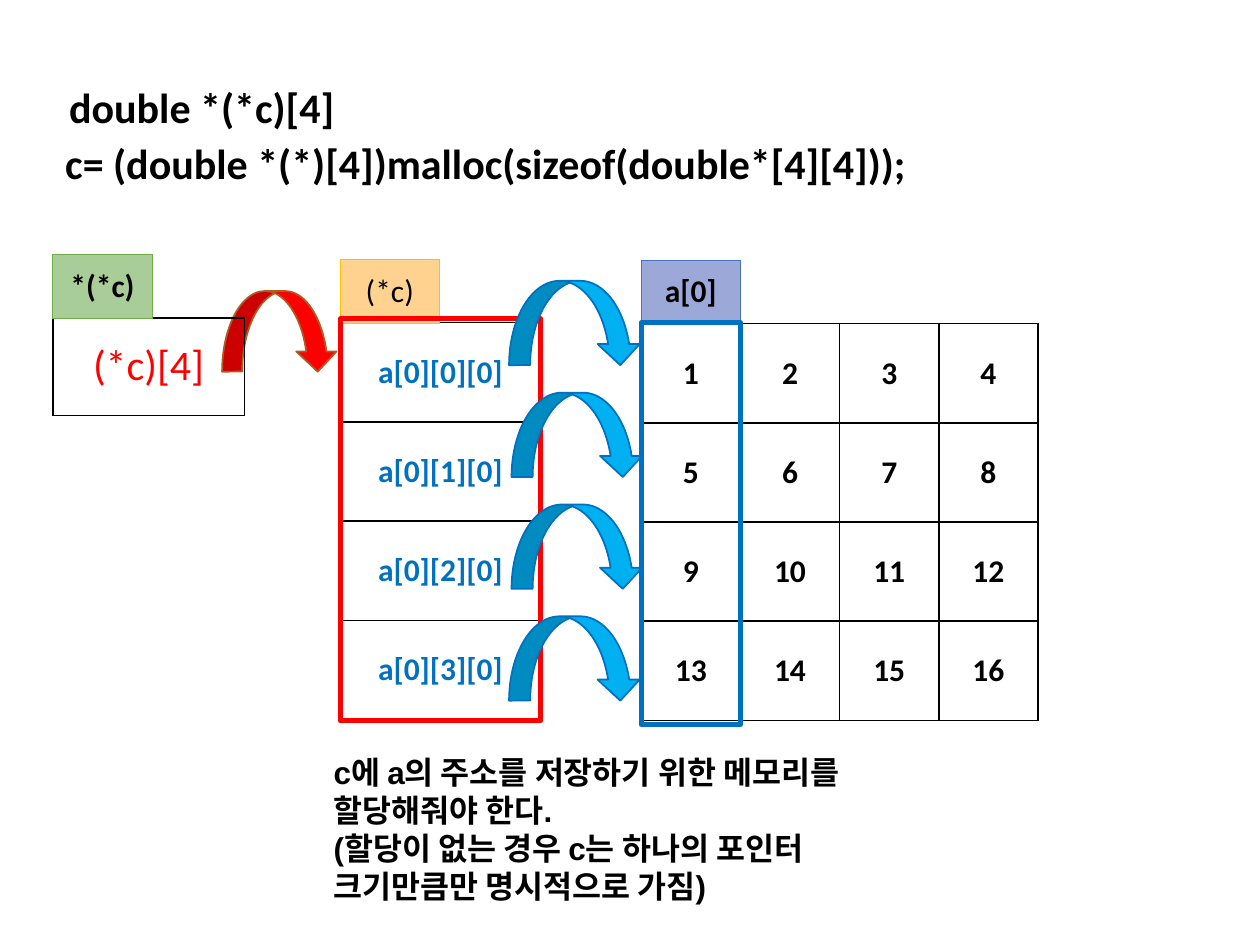
from lxml.etree import SubElement
from pptx import Presentation
from pptx.dml.color import RGBColor
from pptx.enum.shapes import MSO_SHAPE as Shape
from pptx.enum.text import MSO_ANCHOR as Anchor, PP_ALIGN as Align
from pptx.oxml.ns import qn
from pptx.util import Pt

BLACK = RGBColor(0x00, 0x00, 0x00)
RED = RGBColor(0xFF, 0x00, 0x00)
BROWN = RGBColor(0xAF, 0x5C, 0x24)
BLUE = RGBColor(0x00, 0x70, 0xC0)
SKY = RGBColor(0x00, 0xB0, 0xF0)
GOLD = RGBColor(0xFF, 0xC0, 0x00)
GREEN = RGBColor(0x70, 0xAD, 0x47)
INDIGO = RGBColor(0x44, 0x72, 0xC4)
PALE_GOLD = RGBColor(0xFF, 0xD3, 0x8F)
PALE_GREEN = RGBColor(0xA9, 0xCD, 0x98)
PALE_INDIGO = RGBColor(0x9B, 0xA8, 0xD8)

N = 4  # the array is N by N
CELL = 56.7  # side of a square array cell
LABEL_H = 36.5
POINTER_X, ARRAY_X, VALUES_X = 30.2, 194.4, 366.4  # left edges of the columns
POINTER_W, ARRAY_W = 109.5, 114.6
FRAME_H = 229.7
ROW_PITCH = 63.9  # from one row arrow to the next

prs = Presentation()
prs.slide_width, prs.slide_height = Pt(720), Pt(540)
shapes = prs.slides.add_slide(prs.slide_layouts[6]).shapes


def add_run(paragraph, words, size, color=BLACK, bold=True, font="Calibri"):
    run = paragraph.add_run()
    run.text = words
    run.font.name, run.font.size, run.font.bold = font, Pt(size), bold
    run.font.color.rgb = color


def add_outlined(kind, left, top, width, height, line, weight, fill=None):
    part = shapes.add_shape(kind, Pt(left), Pt(top), Pt(width), Pt(height))
    part.shadow.inherit = False
    part.line.color.rgb, part.line.width = line, Pt(weight)
    if fill is None:
        part.fill.background()
    else:
        part.fill.solid()
        part.fill.fore_color.rgb = fill


# Declarations above and explanation below: left, top, width, height, size, font
texts = [
    (32.4, 43.2, 320.4, 36, 24, "Calibri", ["double *(*c)[4]"]),
    (30.2, 75.2, 566, 36, 24, "Calibri",
     ["c= (double *(*)[4])malloc(sizeof(double*[4][4]));"]),
    (183.6, 427, 338.4, 94.3, 18, "Arial",
     ["c에 a의 주소를 저장하기 위한 메모리를 할당해줘야 한다.",
      "(할당이 없는 경우 c는 하나의 포인터 크기만큼만 명시적으로 가짐)"]),
]
for left, top, width, height, size, font, lines in texts:
    frame = shapes.add_textbox(Pt(left), Pt(top), Pt(width), Pt(height)).text_frame
    frame.word_wrap = True
    for i, words in enumerate(lines):
        paragraph = frame.add_paragraph() if i else frame.paragraphs[0]
        add_run(paragraph, words, size, font=font)

# Arrow from the pointer to the array, drawn first to lie behind the pointer's cell
add_outlined(Shape.CURVED_DOWN_ARROW, 126.9, 166.3, 66.2, 46.1, BROWN, 1, RED)

# Contents of the three columns
pointer = [["(*c)[4]"]]
addresses = [[f"a[0][{row}][0]"] for row in range(N)]
values = [[str(N * row + col + 1) for col in range(N)] for row in range(N)]

# Grids: rows, left, top, cell width, cell height, text size, text colour, bold
grids = [
    (pointer, POINTER_X, 181.8, POINTER_W, 55.5, 24, RED, False),
    (addresses, ARRAY_X, 184.4, ARRAY_W, CELL, 18, BLUE, True),
    (values, VALUES_X, 184.9, CELL, CELL, 18, BLACK, True),
]
grids = [grid + (BLACK, 1, None) for grid in grids]

# One label above each grid: words, left, top, bold, border, fill
labels = [
    ("*(*c)", POINTER_X, 145.4, True, GREEN, PALE_GREEN),
    ("(*c)", ARRAY_X, 148.3, False, GOLD, PALE_GOLD),
    ("a[0]", VALUES_X, 148.6, True, INDIGO, PALE_INDIGO),
]
grids += [([[words]], left, top, CELL, LABEL_H, 18, BLACK, bold, border, 0.5, fill)
          for words, left, top, bold, border, fill in labels]

# Tables of centred text, with the same border on every side of every cell
for (rows, left, top, cell_w, cell_h, size, color, bold,
     border, weight, fill) in grids:
    n_rows, n_cols = len(rows), len(rows[0])
    table = shapes.add_table(n_rows, n_cols, Pt(left), Pt(top),
                             Pt(cell_w * n_cols), Pt(cell_h * n_rows)).table
    table.first_row = table.horz_banding = False
    for column in table.columns:
        column.width = Pt(cell_w)
    for row, row_words in zip(table.rows, rows):
        row.height = Pt(cell_h)
        for cell, words in zip(row.cells, row_words):
            cell.vertical_anchor = Anchor.MIDDLE
            paragraph = cell.text_frame.paragraphs[0]
            paragraph.alignment = Align.CENTER
            add_run(paragraph, words, size, color, bold)
            # Borders must come before the fill in the cell properties
            props = cell._tc.get_or_add_tcPr()
            for side in ("a:lnL", "a:lnR", "a:lnT", "a:lnB"):
                line = SubElement(props, qn(side), w=str(Pt(weight)))
                solid = SubElement(line, qn("a:solidFill"))
                SubElement(solid, qn("a:srgbClr"), val=str(border))
            if fill is None:
                cell.fill.background()
            else:
                cell.fill.solid()
                cell.fill.fore_color.rgb = fill

# Frame around the addresses, behind the row arrows
add_outlined(Shape.RECTANGLE, ARRAY_X, 182.2, ARRAY_W, FRAME_H, RED, 3)

# Arrows from each address to its row of values; the middle two sit further right
for row, left in enumerate((290.9, 292.3, 292.3, 290.9)):
    add_outlined(Shape.CURVED_DOWN_ARROW, left, 160.5 + ROW_PITCH * row,
                 75.6, 48.2, BLUE, 1, SKY)

# Frame around the first column of values, in front of the arrowheads
add_outlined(Shape.RECTANGLE, VALUES_X, 184.3, CELL, FRAME_H, BLUE, 3)

prs.save("out.pptx")
